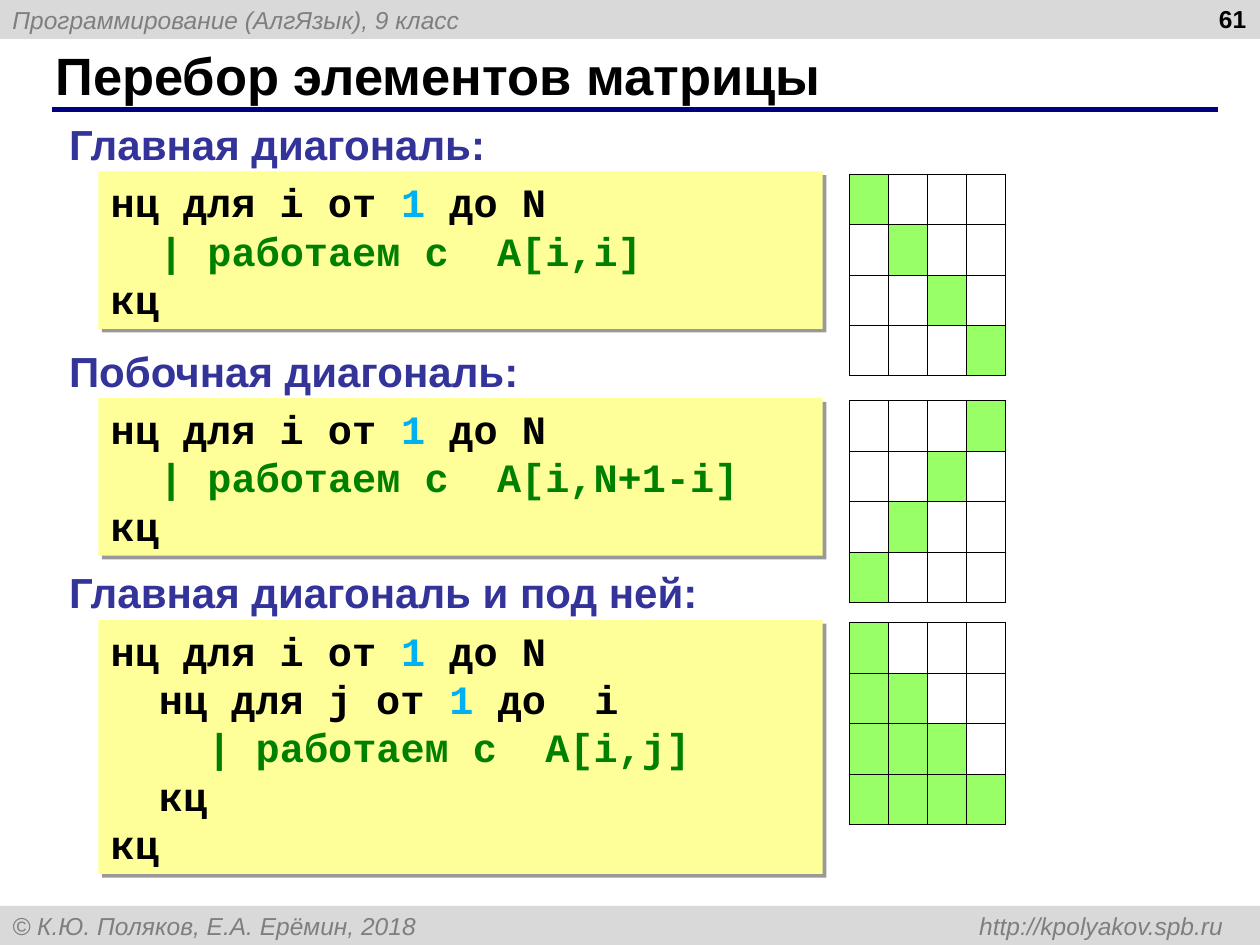
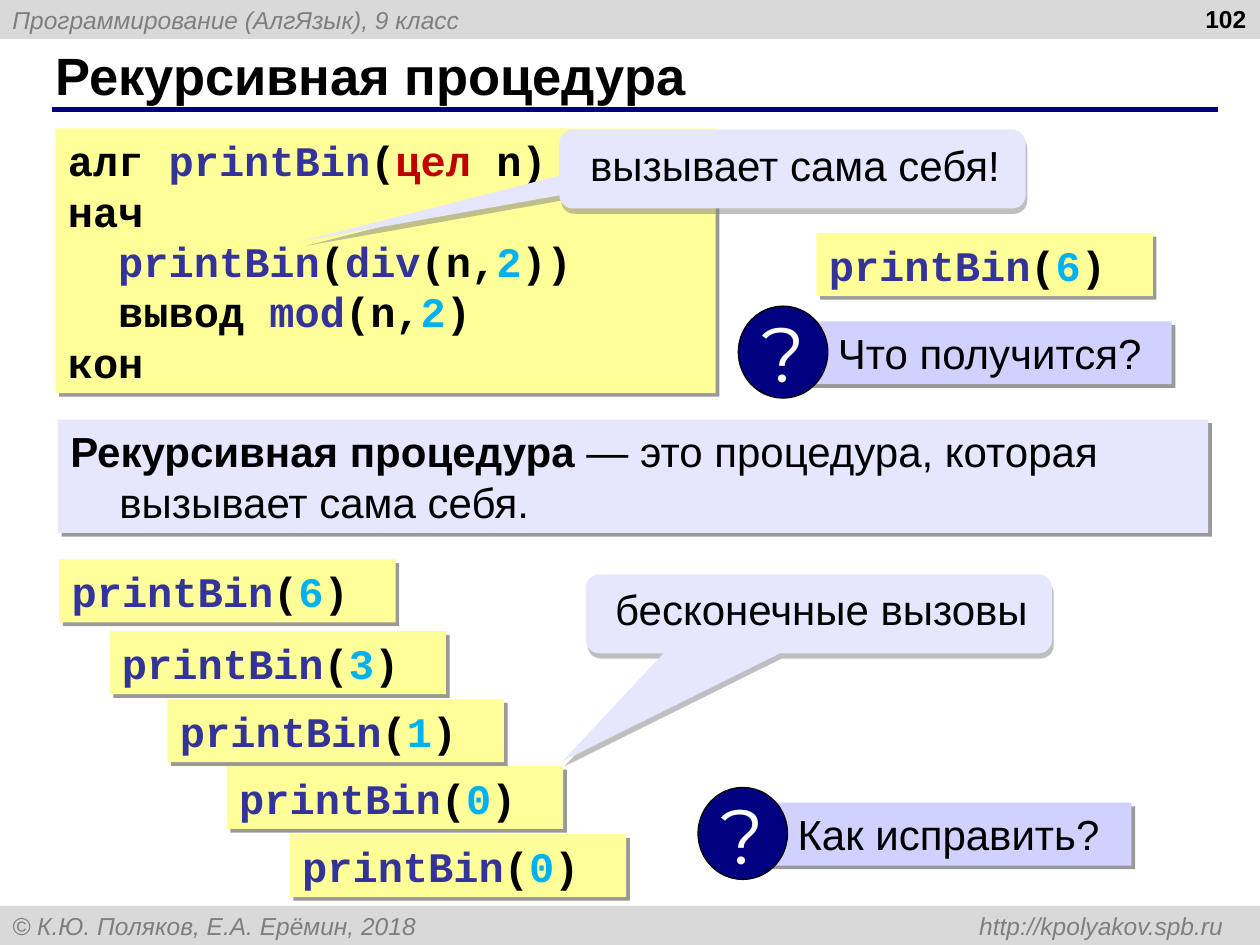
from lxml.etree import SubElement
from pptx import Presentation
from pptx.dml.color import RGBColor
from pptx.enum.shapes import MSO_CONNECTOR, MSO_SHAPE
from pptx.enum.text import MSO_ANCHOR, PP_ALIGN
from pptx.oxml.ns import qn
from pptx.util import Inches, Pt

SLIDE_WIDTH, SLIDE_HEIGHT = Inches(10), Inches(7.5)
COLUMNS, ROWS = 100, 75
COLUMN, ROW = SLIDE_WIDTH / COLUMNS, SLIDE_HEIGHT / ROWS

COLORS = {
    "band": "D9D9D9", "band text": "7F7F7F", "rule": "000080", "text": "000000",
    "heading": "333399", "code": "FFFF99", "number": "00B0F0", "comment": "008000",
    "type": "C00000", "cell": "99FF66", "note": "E6E6FF", "question": "D1D1FF",
    "mark": "FFFFFF", "callout shadow": "808080",
}
SMALL = {"name": "Arial", "size": Pt(14), "italic": True, "color": "band text"}
PAGE = {"name": "Arial", "size": Pt(14), "bold": True, "color": "text"}
TITLE = {"name": "Arial", "size": Pt(30), "bold": True, "color": "text"}
HEADING = {"name": "Arial", "size": Pt(24), "bold": True, "color": "heading"}
BODY = {"name": "Arial", "size": Pt(24), "bold": False, "color": "text"}
MARK = {"name": "Montserrat", "size": Pt(44), "bold": False, "color": "mark"}
CODE = {"name": "Courier New", "bold": True, "color": "text"}
BOX_SHADOW = {"color": "text", "opacity": 40, "distance": 3, "angle": 45}
CALLOUT_SHADOW = {"color": "callout shadow", "opacity": 50, "distance": 3.2, "angle": 72}
FRAME = {
    "margin_left": Inches(0.1), "margin_right": Inches(0.1),
    "margin_top": Inches(0.05), "margin_bottom": Inches(0.05),
    "word_wrap": True, "vertical_anchor": MSO_ANCHOR.TOP,
}
MIDDLE = {"vertical_anchor": MSO_ANCHOR.MIDDLE}


def rgb(name):
    """Return the named colour."""
    return RGBColor.from_string(COLORS[name])


def place(left, top, width, height):
    """Turn a box in grid columns and rows into slide lengths."""
    return [round(length) for length in
            (left * COLUMN, top * ROW, width * COLUMN, height * ROW)]


def set_all(target, formats):
    """Set attributes of an object from a dict."""
    for name, value in formats.items():
        if name == "color":
            target.color.rgb = rgb(value)
        else:
            setattr(target, name, value)


def colored(text, color):
    """Return a run with its own colour."""
    return text, {"color": color}


def write(shape, lines, font, frame=None, paragraph_format=None):
    """Fill a shape with lines, each a list of strings or (text, format) runs."""
    text_frame = shape.text_frame
    set_all(text_frame, {**FRAME, **(frame or {})})
    for index, line in enumerate(lines):
        paragraph = text_frame.add_paragraph() if index else text_frame.paragraphs[0]
        set_all(paragraph, {"alignment": PP_ALIGN.LEFT, **(paragraph_format or {})})
        for part in line:
            text, changes = (part, {}) if isinstance(part, str) else part
            run = paragraph.add_run()
            run.text = text
            set_all(run.font, {**font, **changes})
    return text_frame.paragraphs[0]


def add_shadow(shape, color, opacity, distance, angle):
    """Give a shape a sharp offset shadow."""
    effects = shape._element.spPr.find(qn("a:effectLst"))
    shadow = SubElement(effects, qn("a:outerShdw"), dist=str(Pt(distance)),
                        dir=str(angle * 60000), algn="ctr", rotWithShape="0")
    tint = SubElement(shadow, qn("a:srgbClr"), val=COLORS[color])
    SubElement(tint, qn("a:alpha"), val=str(opacity * 1000))


def add_figure(shapes, box, color, kind=MSO_SHAPE.RECTANGLE, shadow=None):
    """Add a filled shape without outline."""
    shape = shapes.add_shape(kind, *place(*box))
    shape.shadow.inherit = False
    shape.fill.solid()
    shape.fill.fore_color.rgb = rgb(color)
    shape.line.fill.background()
    if shadow:
        add_shadow(shape, **shadow)
    return shape


def add_band(slide, top, line):
    """Add a grey band across the slide and return its paragraph."""
    band = add_figure(slide.shapes, (0, top, COLUMNS, 3.1), "band")
    return write(band, [[line]], SMALL, MIDDLE)


def add_base(presentation, title_text, page):
    """Add a slide with bands, ruled title and page number."""
    slide = presentation.slides.add_slide(presentation.slide_layouts[5])
    add_band(slide, 0, "Программирование (АлгЯзык), 9 класс")
    footer = add_band(slide, ROWS - 3.1,
                      "© К.Ю. Поляков, Е.А. Ерёмин, 2018\thttp://kpolyakov.spb.ru")
    tabs = SubElement(footer._p.get_or_add_pPr(), qn("a:tabLst"))
    SubElement(tabs, qn("a:tab"), pos=str(Inches(9.61)), algn="r")

    start_x, y, length, _ = place(4.1, 8.7, 92.6, 0)
    rule = slide.shapes.add_connector(MSO_CONNECTOR.STRAIGHT, start_x, y, start_x + length, y)
    set_all(rule.line, {"color": "rule", "width": Pt(3)})
    SubElement(rule._element.spPr, qn("a:effectLst"))

    title = slide.shapes.title
    set_all(title, dict(zip(("left", "top", "width", "height"), place(3.4, 3.3, 91.6, 5.2))))
    write(title, [[title_text]], TITLE, MIDDLE)
    number = slide.shapes.add_textbox(*place(76.6, 0, 23.3, 5))
    write(number, [[page]], PAGE, {"margin_top": Inches(0.03)}, {"alignment": PP_ALIGN.RIGHT})
    return slide


def add_code(slide, left, top, width, lines, size=24):
    """Add a code box as tall as its lines."""
    height = 1 + len(lines) * size / 6
    shape = add_figure(slide.shapes, (left, top, width, height), "code", shadow=BOX_SHADOW)
    write(shape, lines, {**CODE, "size": Pt(size)})


def add_matrix(slide, left, top, is_marked, count=4, step=3.1):
    """Add a square table with the chosen cells filled."""
    side = count * step
    table = slide.shapes.add_table(count, count, *place(left, top, side, side)).table
    set_all(table, {"first_row": False, "horz_banding": False})
    for row in range(count):
        for column in range(count):
            cell = table.cell(row, column)
            properties = cell._tc.get_or_add_tcPr()
            for edge in ("a:lnL", "a:lnR", "a:lnT", "a:lnB"):
                border = SubElement(properties, qn(edge), w=str(Pt(0.23)))
                fill = SubElement(border, qn("a:solidFill"))
                SubElement(fill, qn("a:srgbClr"), val=COLORS["text"])
            if is_marked(row, column):
                cell.fill.solid()
                cell.fill.fore_color.rgb = rgb("cell")
            else:
                cell.fill.background()


def add_section(slide, left, top, heading, lines, is_marked):
    """Add a heading with its code and matrix below."""
    label = slide.shapes.add_textbox(*place(left, top, 53, 5))
    write(label, [[heading]], HEADING, {"word_wrap": False})
    add_code(slide, left + 3.3, top + 4.7, 57.5, lines, size=23)
    add_matrix(slide, left + 62.9, top + 4.9, is_marked)


def add_question(slide, left, top, text):
    """Add a grouped question banner with a round mark."""
    shapes = slide.shapes.add_group_shape().shapes
    banner = add_figure(shapes, (left + 5.1, top + 1.2, 29.3, 5), "question", shadow=BOX_SHADOW)
    write(banner, [[text]], BODY, {"margin_left": Inches(0.28)})
    mark = add_figure(shapes, (left, top, 7.1, 7.3), "rule", MSO_SHAPE.OVAL)
    set_all(mark.line, {"color": "text", "width": Pt(0.75)})
    write(mark, [["?"]], MARK, {**MIDDLE, "word_wrap": False}, {"alignment": PP_ALIGN.CENTER})


def add_callout(slide, left, top, text, tip):
    """Add a rounded callout whose tip is a share of its size from its centre."""
    callout = add_figure(slide.shapes, (left, top, 37, 6.25), "note",
                         MSO_SHAPE.ROUNDED_RECTANGULAR_CALLOUT, CALLOUT_SHADOW)
    for index, value in enumerate((*tip, 0.17)):
        callout.adjustments[index] = value
    margins = {"margin_left": Inches(0.06), "margin_right": Inches(0.02)}
    write(callout, [[text]], BODY, {**MIDDLE, **margins},
          {"alignment": PP_ALIGN.CENTER, "line_spacing": 0.8})


def add_call(slide, left, top, argument):
    """Add a one-line call of the recursive procedure."""
    add_code(slide, left, top, 26.7,
             [[colored("printBin", "heading"), "(", colored(argument, "number"), ")"]])


def build_matrix_slide(presentation):
    """Build the slide on walking through a matrix."""
    slide = add_base(presentation, "Перебор элементов матрицы", "61")
    one = colored("1", "number")
    loop = ["нц для i от ", one, " до N"]

    def work(indent, target):
        return [indent, colored(f"| работаем с  {target}", "comment")]

    sections = [
        (8.9, "Главная диагональ:", [loop, work("  ", "A[i,i]"), ["кц"]],
         lambda row, column: row == column),
        (26.9, "Побочная диагональ:", [loop, work("  ", "A[i,N+1-i]"), ["кц"]],
         lambda row, column: row + column == 3),
        (44.5, "Главная диагональ и под ней:",
         [loop, ["  нц для j от ", one, " до  i"], work("    ", "A[i,j]"), ["  кц"], ["кц"]],
         lambda row, column: column <= row),
    ]
    for top, heading, lines, is_marked in sections:
        add_section(slide, 4.5, top, heading, lines, is_marked)


def build_recursion_slide(presentation):
    """Build the slide on a recursive procedure."""
    slide = add_base(presentation, "Рекурсивная процедура", "102")
    definition = add_figure(slide.shapes, (4.6, 33.3, 91.3, 9), "note", shadow=BOX_SHADOW)
    paragraph = write(definition, [[("Рекурсивная процедура ", {"bold": True}),
                                    "— это процедура, которая вызывает сама себя."]], BODY)
    properties = paragraph._p.get_or_add_pPr()
    properties.set("marL", str(Inches(0.39)))
    properties.set("indent", str(-Inches(0.39)))

    name = colored("printBin", "heading")
    two = colored("2", "number")
    add_code(slide, 4.4, 10.2, 52.4, [
        ["алг ", name, "(", colored("цел ", "type"), "n)"],
        ["нач"],
        ["  ", name, "(", colored("div", "heading"), "(n,", two, "))"],
        ["  вывод ", colored("mod", "heading"), "(n,", two, ")"],
        ["кон"],
    ])
    add_call(slide, 64.8, 18.5, "6")
    add_question(slide, 58.6, 24.3, "Что получится?")
    add_callout(slide, 44.4, 10.3, "вызывает сама себя!", (-1.05, 0.91))
    calls = [(4.7, 44.4, "6"), (8.7, 50.1, "3"), (13.3, 55.5, "1"),
             (18, 60.8, "0"), (23, 66.2, "0")]
    for left, top, argument in calls:
        add_call(slide, left, top, argument)
    add_question(slide, 55.4, 62.5, "Как исправить?")
    add_callout(slide, 46.5, 45.6, "бесконечные вызовы", (-0.55, 1.87))


def main():
    """Build and save the presentation."""
    presentation = Presentation()
    set_all(presentation, {"slide_width": SLIDE_WIDTH, "slide_height": SLIDE_HEIGHT})
    build_matrix_slide(presentation)
    build_recursion_slide(presentation)
    presentation.save("out.pptx")


if __name__ == "__main__":
    main()
